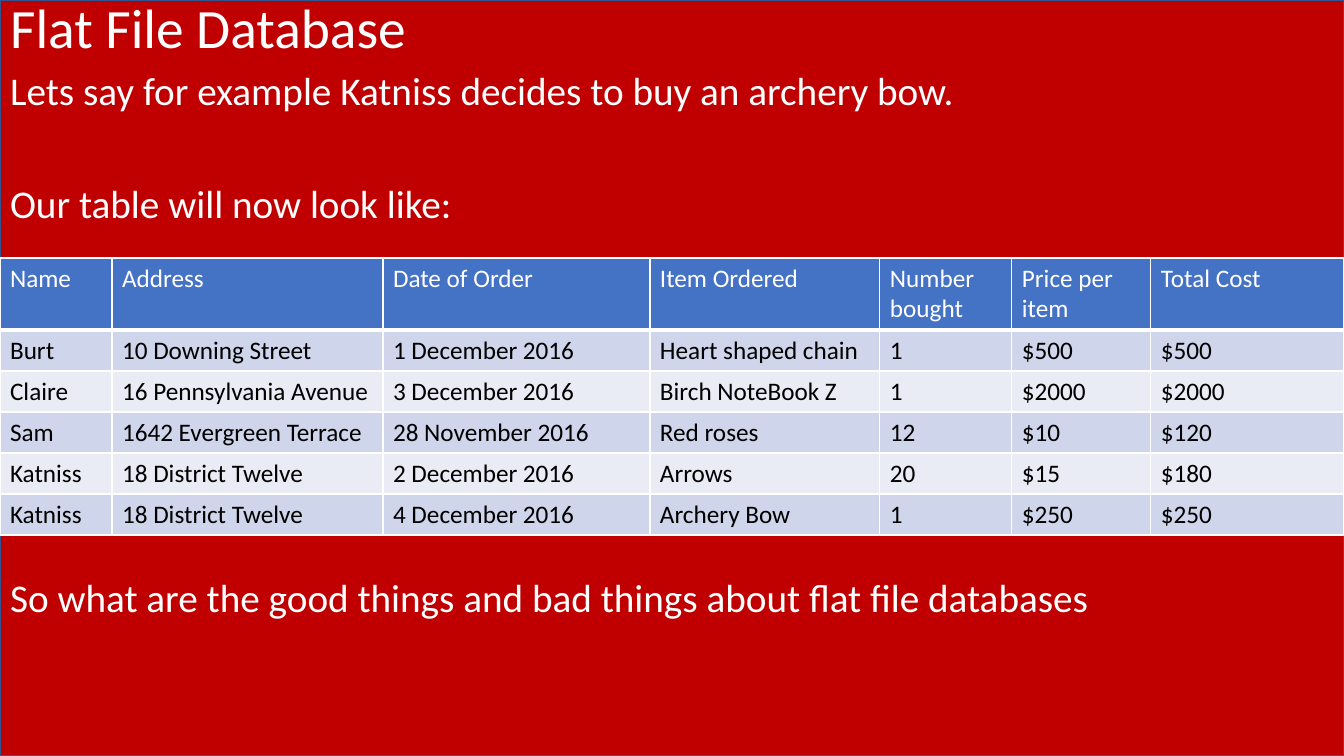
from lxml.etree import SubElement
from pptx import Presentation
from pptx.dml.color import RGBColor
from pptx.enum.shapes import MSO_SHAPE
from pptx.enum.text import MSO_ANCHOR, MSO_AUTO_SIZE, PP_ALIGN
from pptx.oxml import parse_xml
from pptx.oxml.ns import nsdecls, qn
from pptx.util import Emu, Pt

SCALE = 914400 / 100.8
WIDTH, HEIGHT = 1344, 756
FONT = "Calibri"
COLORS = {
    "background": "C00000", "outline": "325491", "white": "FFFFFF",
    "black": "000000", "header": "4472C4", "odd": "CFD5EA", "even": "E9EBF5",
}

# Each line with the space before it, in points
EXPLANATION = [
    ("Lets say for example Katniss decides to buy an archery bow.", 10),
    ("Our table will now look like:", 50),
    ("So what are the good things and bad things about flat file databases", 251.5),
]
COLUMN_WIDTHS = [112, 271, 267, 230, 132, 139, 193]
HEADER_HEIGHT, ORDER_HEIGHT = 72, 41
ORDERS = [
    ["Name", "Address", "Date of Order", "Item Ordered",
     "Number bought", "Price per item", "Total Cost"],
    ["Burt", "10 Downing Street", "1 December 2016", "Heart shaped chain",
     "1", "$500", "$500"],
    ["Claire", "16 Pennsylvania Avenue", "3 December 2016", "Birch NoteBook Z",
     "1", "$2000", "$2000"],
    ["Sam", "1642 Evergreen Terrace", "28 November 2016", "Red roses",
     "12", "$10", "$120"],
    ["Katniss", "18 District Twelve", "2 December 2016", "Arrows",
     "20", "$15", "$180"],
    ["Katniss", "18 District Twelve", "4 December 2016", "Archery Bow",
     "1", "$250", "$250"],
]


def px(length):
    return Emu(round(length * SCALE))


def color(name):
    return RGBColor.from_string(COLORS[name])


def format_runs(paragraph, size, color_name):
    for run in paragraph.runs:
        run.font.name = FONT
        run.font.size = Pt(size)
        run.font.bold = False
        run.font.color.rgb = color(color_name)


def add_background(slide):
    panel = slide.shapes.add_shape(MSO_SHAPE.RECTANGLE, 0, 0, px(WIDTH), px(HEIGHT))
    panel.shadow.inherit = False
    panel.fill.solid()
    panel.fill.fore_color.rgb = color("background")
    panel.line.color.rgb = color("outline")
    panel.line.width = Pt(1)
    # Send behind the placeholders
    slide.shapes._spTree.insert(2, panel._element)


def fill_placeholder(placeholder, top, height, lines, size, anchor):
    placeholder.left, placeholder.top = px(0), px(top)
    placeholder.width, placeholder.height = px(WIDTH), px(height)
    frame = placeholder.text_frame
    frame.text = "\n".join(text for text, _ in lines)
    frame.word_wrap = True
    frame.auto_size = MSO_AUTO_SIZE.NONE
    frame.vertical_anchor = anchor
    for paragraph, (_, space_before) in zip(frame.paragraphs, lines):
        paragraph.alignment = PP_ALIGN.LEFT
        paragraph.line_spacing = 0.9
        paragraph.space_before = Pt(space_before)
        format_runs(paragraph, size, "white")
        properties = paragraph._p.get_or_add_pPr()
        properties.set("marL", "0")
        properties.set("indent", "0")
        SubElement(properties, qn("a:buNone"))


def set_borders(cell, bottom_width):
    properties = cell._tc.get_or_add_tcPr()
    widths = {"L": 1, "R": 1, "T": 1, "B": bottom_width}
    for position, (side, width) in enumerate(widths.items()):
        properties.insert(position, parse_xml(
            f'<a:ln{side} {nsdecls("a")} w="{Pt(width)}"><a:solidFill>'
            f'<a:srgbClr val="{COLORS["white"]}"/></a:solidFill></a:ln{side}>'))


def add_orders_table(slide, top):
    height = HEADER_HEIGHT + ORDER_HEIGHT * (len(ORDERS) - 1)
    table = slide.shapes.add_table(
        len(ORDERS), len(COLUMN_WIDTHS), px(0), px(top), px(WIDTH), px(height)).table
    for column, width in zip(table.columns, COLUMN_WIDTHS):
        column.width = px(width)
    for row_number, order in enumerate(ORDERS):
        is_header = row_number == 0
        table.rows[row_number].height = px(HEADER_HEIGHT if is_header else ORDER_HEIGHT)
        band = "header" if is_header else "odd" if row_number % 2 else "even"
        for column_number, value in enumerate(order):
            cell = table.cell(row_number, column_number)
            cell.text_frame.text = value
            format_runs(cell.text_frame.paragraphs[0], 18,
                        "white" if is_header else "black")
            cell.fill.solid()
            cell.fill.fore_color.rgb = color(band)
            set_borders(cell, 3 if is_header else 1)


def main():
    presentation = Presentation()
    presentation.slide_width, presentation.slide_height = px(WIDTH), px(HEIGHT)
    slide = presentation.slides.add_slide(presentation.slide_layouts[1])

    add_background(slide)
    # Heading and explanation
    fill_placeholder(slide.shapes.title, 0, 61, [("Flat File Database", 0)],
                     39.6, MSO_ANCHOR.MIDDLE)
    fill_placeholder(slide.placeholders[1], 67, 689, EXPLANATION, 28, MSO_ANCHOR.TOP)
    # Orders
    add_orders_table(slide, 258)

    presentation.save("out.pptx")


main()
